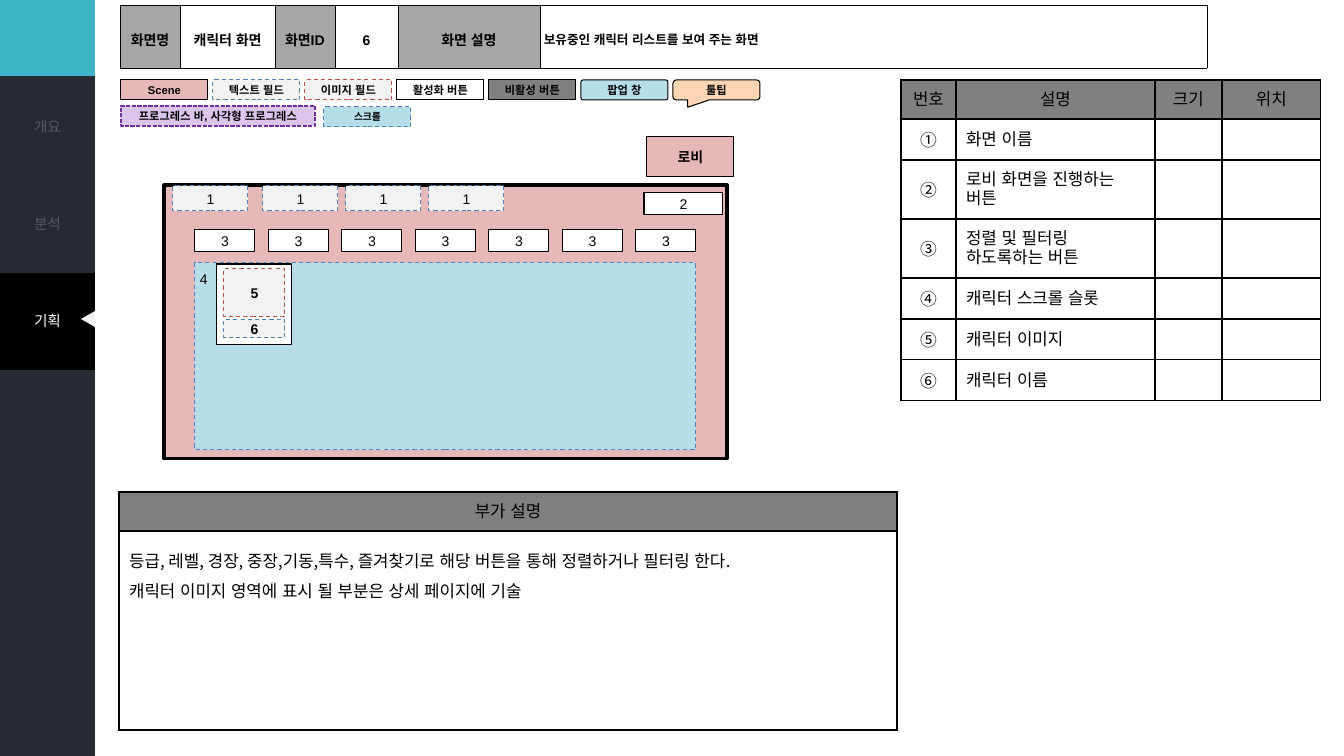
from lxml.etree import SubElement
from pptx import Presentation
from pptx.dml.color import RGBColor
from pptx.enum.dml import MSO_LINE as DASH
from pptx.enum.shapes import MSO_SHAPE as SHAPE
from pptx.enum.text import MSO_ANCHOR as ANCHOR, PP_ALIGN as ALIGN
from pptx.oxml.ns import qn
from pptx.util import Pt

PX = 914400 / 100.8
KR = "Noto Sans CJK KR"
BLACK, WHITE, PALE, GRAY = "000000", "FFFFFF", "F2F2F2", "808080"
PINK, SKY, TEAL, NAVY = "E6B9B8", "B7DEE8", "3EB4C6", "262A33"
HEAD = "A6A6A6"

# Content
MENU = ["개요", "분석", "기획", "", "", "", ""]
ACTIVE = "기획"
HEADER = [("화면명", HEAD), ("캐릭터 화면", WHITE), ("화면ID", HEAD), ("6", WHITE),
          ("화면 설명", HEAD), ("보유중인 캐릭터 리스트를 보여 주는 화면", WHITE)]
PARTS_HEAD = ["번호", "설명", "크기", "위치"]
PARTS = [("①", "화면 이름"), ("②", "로비 화면을 진행하는 버튼"),
         ("③", "정렬 및 필터링 하도록하는 버튼"), ("④", "캐릭터 스크롤 슬롯"),
         ("⑤", "캐릭터 이미지"), ("⑥", "캐릭터 이름")]
NOTES_HEAD = "부가 설명"
NOTES = ["등급, 레벨, 경장, 중장,기동,특수, 즐겨찾기로 해당 버튼을 통해 정렬하거나 필터링 한다.",
         "캐릭터 이미지 영역에 표시 될 부분은 상세 페이지에 기술"]

# Box styles
SOLID = dict(line=BLACK, width=0.75)
SCENE = dict(SOLID, fill=PINK)
BUTTON = dict(SOLID, fill=WHITE)
TEXT_FIELD = dict(fill=PALE, line="4F81BD", width=0.75, dash=DASH.DASH)
IMAGE_FIELD = dict(TEXT_FIELD, line="C0504D")
SCROLL = dict(TEXT_FIELD, fill=SKY)
PROGRESS = dict(fill="DCC5ED", line="7030A0", width=1, dash=DASH.SQUARE_DOT)
LABEL = dict(size=8, bold=True)

LEGEND = [
    ("Scene", SCENE),
    ("텍스트 필드", TEXT_FIELD),
    ("이미지 필드", IMAGE_FIELD),
    ("활성화 버튼", BUTTON),
    ("비활성 버튼", dict(SOLID, fill=GRAY)),
    ("팝업 창", dict(SOLID, fill=SKY, kind=SHAPE.ROUNDED_RECTANGLE, adj=[0.11])),
    ("툴팁", dict(SOLID, fill="FCD5B5", kind=SHAPE.ROUNDED_RECTANGULAR_CALLOUT,
                adj=[-0.33, 0.86, 0.17])),
]


def px(*values):
    return [round(v * PX) for v in values]


def rgb(color):
    return RGBColor.from_string(color)


def paint(target, color):
    target.fill.solid()
    target.fill.fore_color.rgb = rgb(color)


def write(tf, lines, size=10, color=BLACK, bold=False, font="Arial",
          align=ALIGN.CENTER, spacing=None):
    for i, line in enumerate(lines):
        p = tf.paragraphs[0] if i == 0 else tf.add_paragraph()
        p.alignment, p.line_spacing = align, spacing
        if not line:
            SubElement(p._p, qn("a:endParaRPr")).set("sz", str(size * 100))
            continue
        r = p.add_run()
        r.text = line
        for name, value in dict(size=Pt(size), bold=bold, name=font).items():
            setattr(r.font, name, value)
        r.font.color.rgb = rgb(color)
        SubElement(r._r.get_or_add_rPr(), qn("a:ea")).set("typeface", "Arial")


def box(at, text="", fill=WHITE, line=None, width=1, dash=None,
        kind=SHAPE.RECTANGLE, adj=(), **font):
    s = sp.add_shape(kind, *px(*at))
    s.shadow.inherit = False
    for i, value in enumerate(adj):
        s.adjustments[i] = value
    paint(s, fill)
    if line:
        s.line.color.rgb, s.line.width = rgb(line), Pt(width)
        if dash:
            s.line.dash_style = dash
    else:
        s.line.fill.background()
    if text:
        s.text_frame.vertical_anchor = ANCHOR.MIDDLE
        write(s.text_frame, [text], **font)
    return s


def border(cell, color, width):
    tcPr = cell._tc.get_or_add_tcPr()
    for i, side in enumerate(("lnL", "lnR", "lnT", "lnB")):
        ln = tcPr.makeelement(qn("a:" + side), {"w": str(Pt(width))})
        tcPr.insert(i, ln)
        if color:
            SubElement(SubElement(ln, qn("a:solidFill")), qn("a:srgbClr")).set("val", color)
        else:
            SubElement(ln, qn("a:noFill"))


def table(x, y, cols, rows, cells, line=BLACK, width=1, inset=None):
    """Each cell is (lines, fill, anchor, font values)."""
    t = sp.add_table(len(rows), len(cols), *px(x, y, sum(cols), sum(rows))).table
    t.first_row = t.horz_banding = False
    for col, w in zip(t.columns, px(*cols)):
        col.width = w
    for row, h in zip(t.rows, px(*rows)):
        row.height = h
    for cell, (lines, fill, anchor, font) in zip(t.iter_cells(), cells):
        paint(cell, fill)
        border(cell, line, width)
        cell.vertical_anchor = anchor
        if inset:
            for side in ("left", "right", "top", "bottom"):
                setattr(cell, "margin_" + side, px(inset)[0])
        write(cell.text_frame, lines, **font)


prs = Presentation()
prs.slide_width, prs.slide_height = px(1344, 756)
sp = prs.slides.add_slide(prs.slide_layouts[6]).shapes

# Side menu: a plain column, then the named one just below its top edge
box((0, 0, 95, 76), fill=TEAL)
for y, names in ((76, [""] * len(MENU)), (79, MENU)):
    table(0, y, [95], [97] * len(names),
          [([name], BLACK if name == ACTIVE else NAVY, ANCHOR.MIDDLE,
            dict(size=10.5 if name else 10, font=KR,
                 color=WHITE if name == ACTIVE else "595959"))
           for name in names], None)
box((80, 312, 16, 14), fill=PALE, kind=SHAPE.ISOSCELES_TRIANGLE).rotation = 270

# Screen header
last = len(HEADER) - 1
table(120, 5, [60, 95, 60, 63, 142, 667], [63],
      [([text], fill, ANCHOR.MIDDLE,
        dict(bold=True, spacing=1.5, size=9 if i == last else 10,
             align=ALIGN.LEFT if i == last else ALIGN.CENTER))
       for i, (text, fill) in enumerate(HEADER)], width=0.5, inset=4)

# Legend
for i, (name, style) in enumerate(LEGEND):
    box((121 + 92 * i, 80, 87, 20), name, **style, **LABEL)
box((121, 106, 194, 20), "프로그레스 바, 사각형 프로그레스", **PROGRESS, **LABEL)
box((324, 107, 87, 20), "스크롤", **SCROLL, size=7, bold=True, font=KR)

# Screen layout
box((647, 137, 87, 40), "로비", **SCENE, bold=True, font=KR)
box((164, 185, 563, 274), **dict(SCENE, width=2.25))
for x in (173, 263, 346, 429):
    box((x, 186, 75, 25), "1", **TEXT_FIELD)
box((644, 193, 79, 22), "2", **BUTTON)
for i in range(7):
    box((195 + 73.5 * i, 230, 60, 22), "3", **BUTTON)
box((195, 263, 501, 187), **SCROLL)
tb = sp.add_textbox(*px(190, 266, 28, 27))
tb.text_frame.word_wrap = False
write(tb.text_frame, ["4"], align=ALIGN.LEFT)

# Character card
box((217, 264, 75, 81), **BUTTON)
box((224, 269, 61, 48), "5", **IMAGE_FIELD, bold=True)
box((224, 320, 61, 18), "6", **TEXT_FIELD, bold=True)

# Part list
KR12 = dict(size=12, font=KR)
part_cells = [([name], GRAY, ANCHOR.MIDDLE, KR12) for name in PARTS_HEAD]
for number, name in PARTS:
    for col, text in enumerate((number, name, "", "")):
        align = ALIGN.LEFT if col == 1 else ALIGN.CENTER
        part_cells.append(([text], WHITE, ANCHOR.MIDDLE, dict(KR12, align=align)))
table(901, 80, [55, 199, 67, 99], [39, 41, 59, 59, 41, 41, 41], part_cells)

# Additional notes
table(119, 492, [778], [39, 199],
      [([NOTES_HEAD], "7F7F7F", ANCHOR.MIDDLE, KR12),
       (NOTES, WHITE, ANCHOR.TOP, dict(KR12, align=ALIGN.LEFT, spacing=1.5))])

prs.save("out.pptx")
